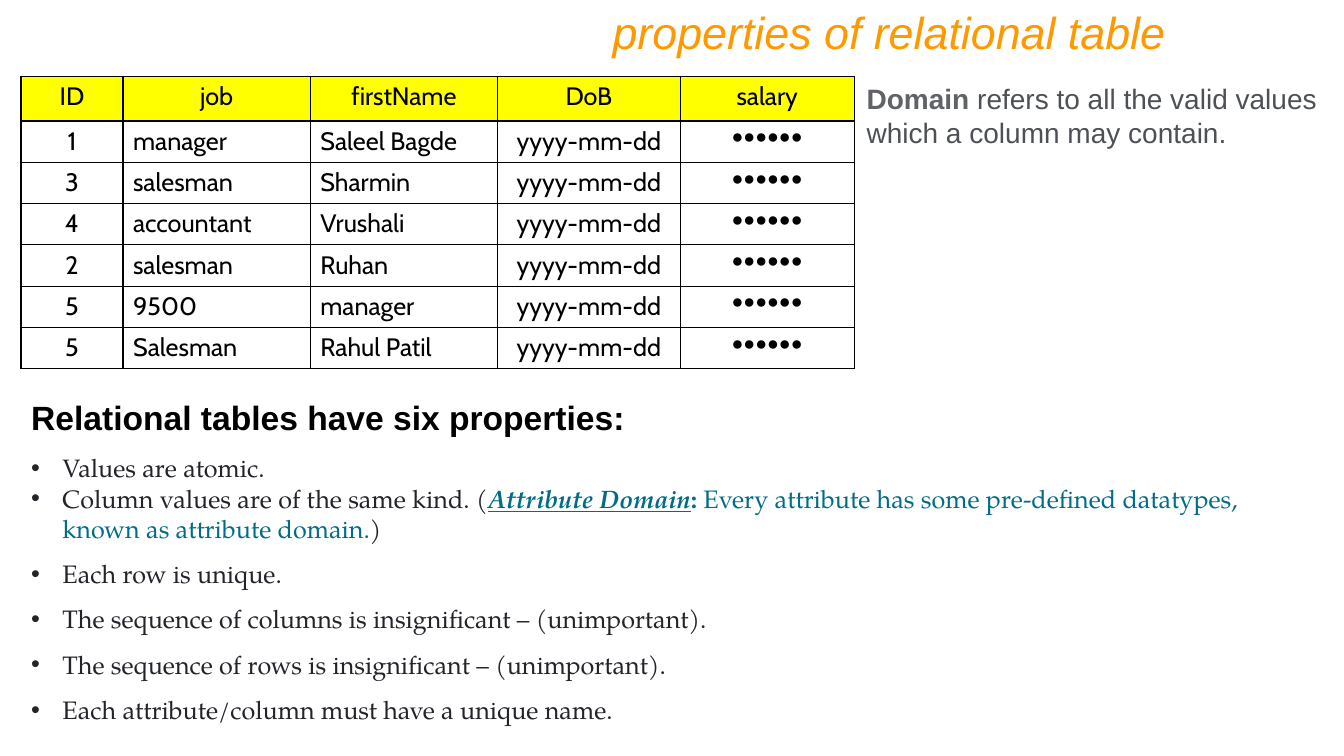
from dataclasses import dataclass, field

from lxml import etree
from pptx import Presentation
from pptx.dml.color import RGBColor
from pptx.enum.text import MSO_ANCHOR, MSO_AUTO_SIZE, PP_ALIGN
from pptx.oxml.ns import qn
from pptx.util import Cm, Pt

LEFT, CENTER, RIGHT = PP_ALIGN.LEFT, PP_ALIGN.CENTER, PP_ALIGN.RIGHT
TOP = MSO_ANCHOR.TOP
NO_FIT = MSO_AUTO_SIZE.NONE

BLACK = RGBColor(0x00, 0x00, 0x00)
ORANGE = RGBColor(0xFF, 0x99, 0x00)
YELLOW = RGBColor(0xFF, 0xFF, 0x00)
INK = RGBColor(0x23, 0x23, 0x2A)
TEAL = RGBColor(0x00, 0x6C, 0x86)
GREY = RGBColor(0x5F, 0x63, 0x68)
DARK_GREY = RGBColor(0x4D, 0x51, 0x56)

TITLE = {"name": "Arial", "size": Pt(32), "italic": True, "color": ORANGE}
HEADING = {"name": "Arial", "size": Pt(24), "bold": True, "color": BLACK}
ITEM = {"name": "TeX Gyre Pagella", "size": Pt(18), "color": INK}
DEFINITION = ITEM | {"color": TEAL}
COLON = DEFINITION | {"bold": True}
TERM = COLON | {"italic": True, "underline": True}
NOTE = {"name": "Arial", "size": Pt(20), "color": DARK_GREY}
NOTE_TERM = NOTE | {"bold": True, "color": GREY}
CELL = {"name": "Cabin", "size": Pt(18), "color": BLACK}
DOTS = CELL | {"name": "Arial", "size": Pt(14)}


@dataclass
class Run:
    text: str
    fmt: dict = field(default_factory=lambda: ITEM)


@dataclass
class Para:
    runs: list[Run]
    spacing: float = 1.5
    bullet: bool = True


@dataclass
class Column:
    name: str
    width: float
    values: list[str]
    align: PP_ALIGN = CENTER
    fmt: dict = field(default_factory=lambda: CELL)


COLUMNS = [
    Column("ID", 2.57, ["1", "3", "4", "2", "5", "5"]),
    Column("job", 4.72, ["manager", "salesman", "accountant", "salesman",
                         "9500", "Salesman"], LEFT),
    Column("firstName", 4.72, ["Saleel Bagde", "Sharmin", "Vrushali", "Ruhan",
                               "manager", "Rahul Patil"], LEFT),
    Column("DoB", 4.6, ["yyyy-mm-dd"] * 6),
    Column("salary", 4.39, ["●●●●●●"] * 6, CENTER, DOTS),
]
HEADER_HEIGHT, ROW_HEIGHT = 1.12, 1.04

PROPERTIES = [
    Para([Run("Relational tables have six properties:", HEADING)], 1, False),
    Para([Run("Values are atomic.")]),
    Para([
        Run("Column values are of the same kind. ("),
        Run("Attribute Domain", TERM),
        Run(": ", COLON),
        Run("Every attribute has some pre-defined datatypes, "
            "known as attribute domain.", DEFINITION),
        Run(")"),
    ], 1),
    Para([Run("Each row is unique.")]),
    Para([Run("The sequence of columns is insignificant – (unimportant).")]),
    Para([Run("The sequence of rows is insignificant – (unimportant).")]),
    Para([Run("Each attribute/column must have a unique name.")]),
]


def add_runs(p, runs: list[Run]) -> None:
    for run in runs:
        r = p.add_run()
        r.text = run.text
        for key, value in run.fmt.items():
            if key == "color":
                r.font.color.rgb = value
            else:
                setattr(r.font, key, value)


def place(sp, left: float, top: float, width: float, height: float) -> None:
    sp.left, sp.top, sp.width, sp.height = map(Cm, (left, top, width, height))
    tf = sp.text_frame
    tf.word_wrap = True
    tf.auto_size = NO_FIT
    tf.vertical_anchor = TOP


def set_bullet(p, bullet: bool) -> None:
    pPr = p._p.get_or_add_pPr()
    indent = Cm(0.79) if bullet else 0
    pPr.set("marL", str(indent))
    pPr.set("indent", str(-indent))
    if bullet:
        etree.SubElement(pPr, qn("a:buFont"), typeface="Arial")
        etree.SubElement(pPr, qn("a:buChar"), char="•")
    else:
        etree.SubElement(pPr, qn("a:buNone"))


def fill_properties(tf) -> None:
    for i, para in enumerate(PROPERTIES):
        p = tf.add_paragraph() if i else tf.paragraphs[0]
        set_bullet(p, para.bullet)
        p.alignment = LEFT
        p.space_before = Pt(0)
        p.line_spacing = para.spacing
        add_runs(p, para.runs)


def add_borders(cell) -> None:
    """Put the four side lines ahead of the cell's fill, as the schema asks."""
    tcPr = cell._tc.get_or_add_tcPr()
    for i, side in enumerate(("lnL", "lnR", "lnT", "lnB")):
        ln = etree.Element(qn(f"a:{side}"), w=str(Pt(1)))
        fill = etree.SubElement(ln, qn("a:solidFill"))
        etree.SubElement(fill, qn("a:srgbClr"), val=str(BLACK))
        tcPr.insert(i, ln)


def fill_cell(cell, text: str, fmt: dict, align: PP_ALIGN, header: bool) -> None:
    p = cell.text_frame.paragraphs[0]
    p.alignment = align
    add_runs(p, [Run(text, fmt)])
    if header:
        cell.fill.solid()
        cell.fill.fore_color.rgb = YELLOW
    else:
        cell.fill.background()
    add_borders(cell)


def add_employee_table(s) -> None:
    count = len(COLUMNS[0].values)
    width = sum(column.width for column in COLUMNS)
    height = HEADER_HEIGHT + count * ROW_HEIGHT
    table = s.shapes.add_table(count + 1, len(COLUMNS), Cm(0.53), Cm(1.93),
                               Cm(width), Cm(height)).table
    table.first_row = table.horz_banding = False
    for i, row in enumerate(table.rows):
        row.height = Cm(ROW_HEIGHT if i else HEADER_HEIGHT)
    for j, column in enumerate(COLUMNS):
        table.columns[j].width = Cm(column.width)
        fill_cell(table.cell(0, j), column.name, CELL, CENTER, True)
        for i, value in enumerate(column.values, 1):
            fill_cell(table.cell(i, j), value, column.fmt, column.align, False)


def main() -> None:
    prs = Presentation()
    prs.slide_width, prs.slide_height = Cm(33.87), Cm(19.05)
    s = prs.slides.add_slide(prs.slide_layouts[1])

    title, body = s.placeholders
    place(title, 4.24, 0, 25.4, 1.8)
    p = title.text_frame.paragraphs[0]
    p.alignment = RIGHT
    add_runs(p, [Run("properties of relational table", TITLE)])

    place(body, 0.53, 9.88, 32.79, 8.46)
    fill_properties(body.text_frame)

    note = s.shapes.add_textbox(0, 0, 0, 0)
    place(note, 21.59, 1.93, 12.28, 1.96)
    add_runs(note.text_frame.paragraphs[0], [
        Run("Domain", NOTE_TERM),
        Run(" refers to all the valid values which a column may contain.", NOTE),
    ])

    add_employee_table(s)
    prs.save("out.pptx")


if __name__ == "__main__":
    main()
